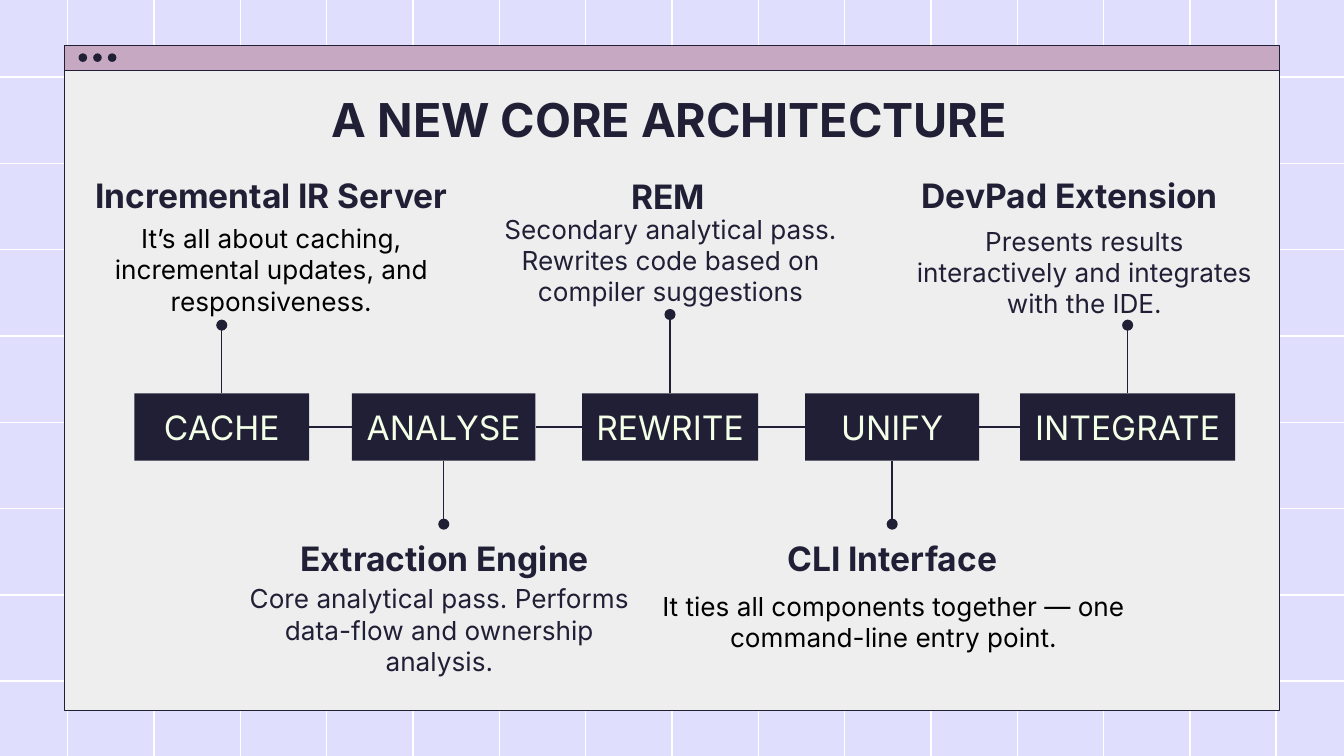
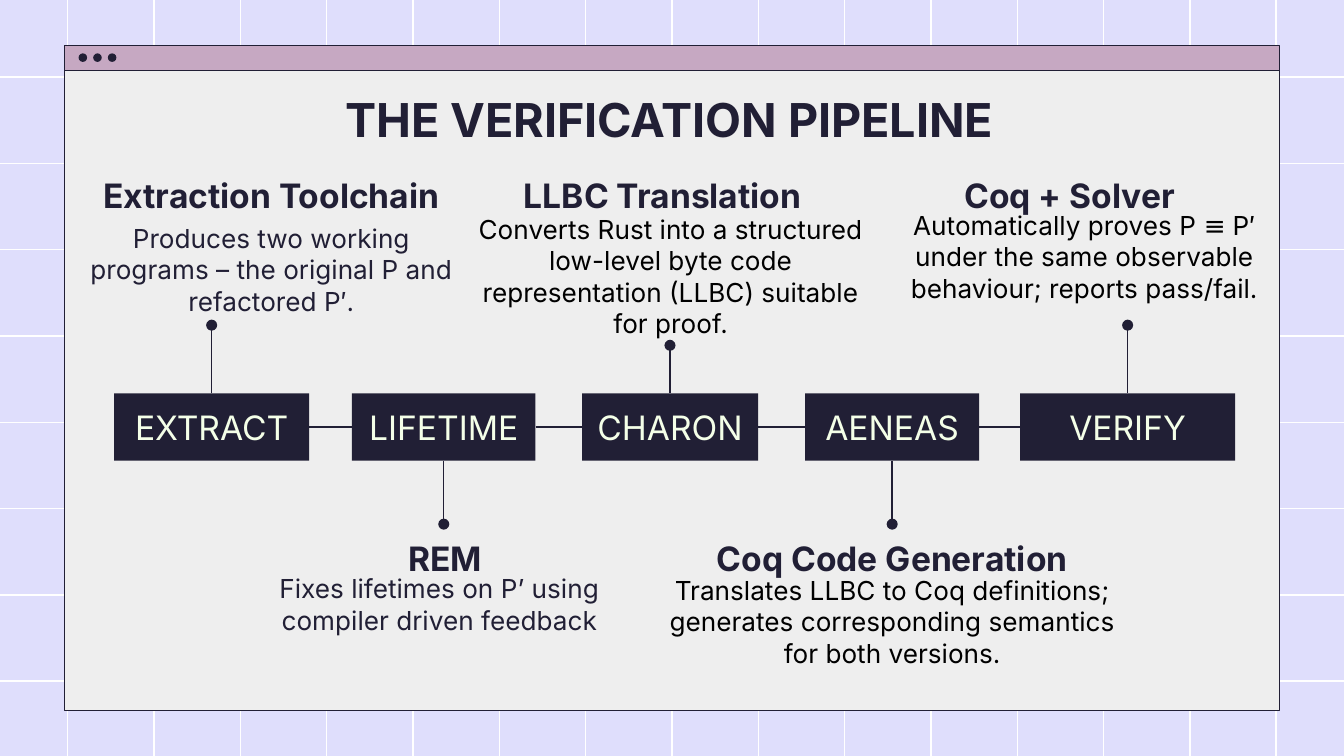
from itertools import pairwise
from pptx import Presentation
from pptx.dml.color import RGBColor as Color
from pptx.enum.shapes import MSO_CONNECTOR as Connector, MSO_SHAPE as Shape
from pptx.enum.text import MSO_ANCHOR as Anchor, PP_ALIGN as Align
from pptx.oxml.ns import qn
from pptx.util import Pt
from lxml.etree import SubElement

COLORS = {
    "background": "DFDEFC",
    "grid": "FFFFFF",
    "window": "EEEEEE",
    "bar": "C6A8C2",
    "dark": "211F35",
    "black": "000000",
    "stage": "F4FFE8",
}
FONT = "Inter"
TOP, LEFT, BOTTOM, RIGHT = range(4)

GRID_TOP, GRID_SIZE, GRID_CELLS = -5, 416.16, 9
STAGE_TOP, STAGE_HEIGHT = 210.8, 36
STAGE_RIGHTS = [165.6, 286.9, 406.1, 524.6, 661.7]

SLIDES = [
    {
        "title": "A NEW CORE ARCHITECTURE",
        "stage_lefts": [72, 188.6, 311.8, 431.3, 546.5],
        "stages": [
            ("CACHE", 174.2, "Incremental IR Server", (36.7, 86.4, 217.4),
             "It’s all about caching, incremental updates, and responsiveness.",
             (36.7, 120.2, 217.4, 48.2), "black"),
            ("ANALYSE", 280.8, "Extraction Engine", (124.6, 280.8, 227.5),
             "Core analytical pass. Performs data-flow and ownership analysis.",
             (121.7, 313.2, 227.5, 48.2), "dark"),
            ("REWRITE", 168.5, "REM", (247, 87.1, 221.8),
             "Secondary analytical pass. Rewrites code based on compiler suggestions",
             (248.4, 115.2, 221.8, 48.2), "dark"),
            ("UNIFY", 280.8, "CLI Interface", (346.3, 280.8, 263.5),
             "It ties all components together — one command-line entry point.",
             (347, 308.9, 263.5, 48.2), "black"),
            ("INTEGRATE", 174.2, "DevPad Extension", (472.3, 86.4, 201.6),
             "Presents results interactively and integrates with the IDE.",
             (480.2, 121.7, 201.6, 48.2), "dark"),
        ],
    },
    {
        "title": "THE VERIFICATION PIPELINE",
        "stage_lefts": [61.2, 188.6, 311.8, 431.3, 546.5],
        "stages": [
            ("EXTRACT", 174.2, "Extraction Toolchain", (36.7, 86.4, 217.4),
             "Produces two working programs – the original P and refactored P′.",
             (36.7, 120.2, 217.4, 48.2), "dark"),
            ("LIFETIME", 280.8, "REM", (124.6, 280.8, 227.5),
             "Fixes lifetimes on P’ using compiler driven feedback",
             (121.7, 299.5, 227.5, 48.2), "dark"),
            ("CHARON", 185, "LLBC Translation", (244.1, 86.4, 221.8),
             "Converts Rust into a structured low-level byte code representation (LLBC) suitable for proof.",
             (248.4, 119.5, 221.8, 56.9), "black"),
            ("AENEAS", 280.8, "Coq Code Generation", (346.3, 280.8, 263.5),
             "Translates LLBC to Coq definitions; generates corresponding semantics for both versions.",
             (346.3, 308.9, 263.5, 48.2), "black"),
            ("VERIFY", 174.2, "Coq + Solver", (472.3, 86.4, 201.6),
             "Automatically proves P ≡ P′ under the same observable behaviour; reports pass/fail.",
             (480.2, 113.3, 201.6, 48.2), "black"),
        ],
    },
]


def add_text(slide, text, box, size=14, color="dark", bold=False, fill=None):
    place = [Pt(value) for value in box]
    if fill:
        shape = slide.shapes.add_shape(Shape.RECTANGLE, *place)
        shape.shadow.inherit = False
        shape.fill.solid()
        shape.fill.fore_color.rgb = Color.from_string(COLORS[fill])
        shape.line.fill.background()
    else:
        shape = slide.shapes.add_textbox(*place)
    frame = shape.text_frame
    frame.word_wrap = True
    frame.vertical_anchor = Anchor.MIDDLE
    frame.margin_left = frame.margin_right = Pt(7.2)
    frame.margin_top = frame.margin_bottom = Pt(7.2)
    paragraph = frame.paragraphs[0]
    paragraph.alignment = Align.CENTER
    run = paragraph.add_run()
    run.text = text
    run.font.name = FONT
    run.font.size = Pt(size)
    run.font.bold = bold
    run.font.color.rgb = Color.from_string(COLORS[color])
    return shape


def add_line(slide, start, site, end=None, end_site=None, pin_end=None):
    connector = slide.shapes.add_connector(Connector.STRAIGHT, 0, 0, 0, 0)
    connector.begin_connect(start, site)
    if end is not None:
        connector.end_connect(end, end_site)
    else:
        connector.end_x, connector.end_y = connector.begin_x, Pt(pin_end)
    connector.line.width = Pt(0.75)
    connector.line.color.rgb = Color.from_string(COLORS["dark"])
    if pin_end is not None:
        SubElement(connector.line._get_or_add_ln(), qn("a:tailEnd"), type="oval")
    SubElement(connector._element.spPr, qn("a:effectLst"))


presentation = Presentation()
presentation.slide_width = Pt(720)
presentation.slide_height = Pt(405)

for content in SLIDES:
    slide = presentation.slides.add_slide(presentation.slide_layouts[6])
    slide.background.fill.solid()
    slide.background.fill.fore_color.rgb = Color.from_string(COLORS["background"])

    for left in (360 - GRID_SIZE, 360):
        right, bottom = left + GRID_SIZE, GRID_TOP + GRID_SIZE
        outline = slide.shapes.build_freeform(Pt(left), Pt(GRID_TOP))
        outline.add_line_segments(
            [(Pt(right), Pt(GRID_TOP)), (Pt(right), Pt(bottom)), (Pt(left), Pt(bottom))], close=True)
        for index in range(1, GRID_CELLS):
            step = index * GRID_SIZE / GRID_CELLS
            outline.move_to(Pt(left), Pt(GRID_TOP + step))
            outline.add_line_segments([(Pt(right), Pt(GRID_TOP + step))], close=False)
            outline.move_to(Pt(left + step), Pt(GRID_TOP))
            outline.add_line_segments([(Pt(left + step), Pt(bottom))], close=False)
        grid = outline.convert_to_shape()
        grid.shadow.inherit = False
        grid.fill.background()
        grid.line.width = Pt(0.75)
        grid.line.color.rgb = Color.from_string(COLORS["grid"])

    window_parts = [
        (Shape.RECTANGLE, (34.6, 37.6, 650.8, 343.2), "window", True),
        (Shape.RECTANGLE, (34.6, 24.4, 650.8, 13.4), "bar", True),
    ] + [(Shape.OVAL, (42.1 + 7.85 * index, 28.6, 4.6, 4.6), "dark", False) for index in range(3)]
    for kind, box, fill, outlined in window_parts:
        part = slide.shapes.add_shape(kind, *[Pt(value) for value in box])
        part.shadow.inherit = False
        part.fill.solid()
        part.fill.fore_color.rgb = Color.from_string(COLORS[fill])
        if outlined:
            part.line.width = Pt(0.75)
            part.line.color.rgb = Color.from_string(COLORS["dark"])
        else:
            part.line.fill.background()

    add_text(slide, content["title"], (61.2, 41, 594.7, 45.4), size=25, bold=True)

    stage_boxes = []
    for stage, left, right in zip(content["stages"], content["stage_lefts"], STAGE_RIGHTS):
        name, pin_end, heading, heading_box, body, body_box, body_color = stage
        add_text(slide, heading, (*heading_box, 36), size=18, bold=True)
        add_text(slide, body, body_box, color=body_color)
        stage_box = add_text(slide, name, (left, STAGE_TOP, right - left, STAGE_HEIGHT),
                             size=18, color="stage", fill="dark")
        add_line(slide, stage_box, TOP if pin_end < STAGE_TOP else BOTTOM, pin_end=pin_end)
        stage_boxes.append(stage_box)

    for current, following in pairwise(stage_boxes):
        add_line(slide, current, RIGHT, following, LEFT)

presentation.save("out.pptx")
